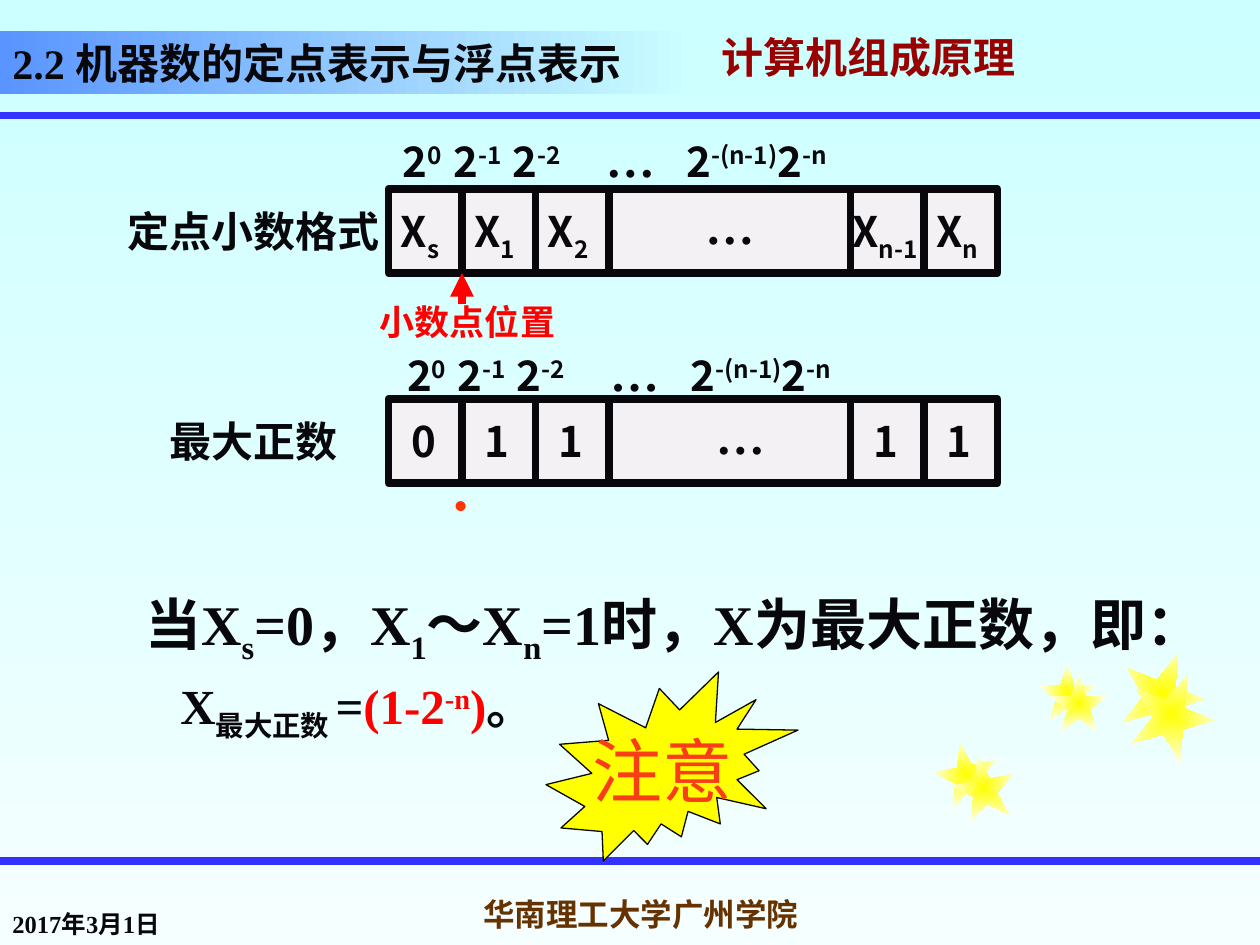
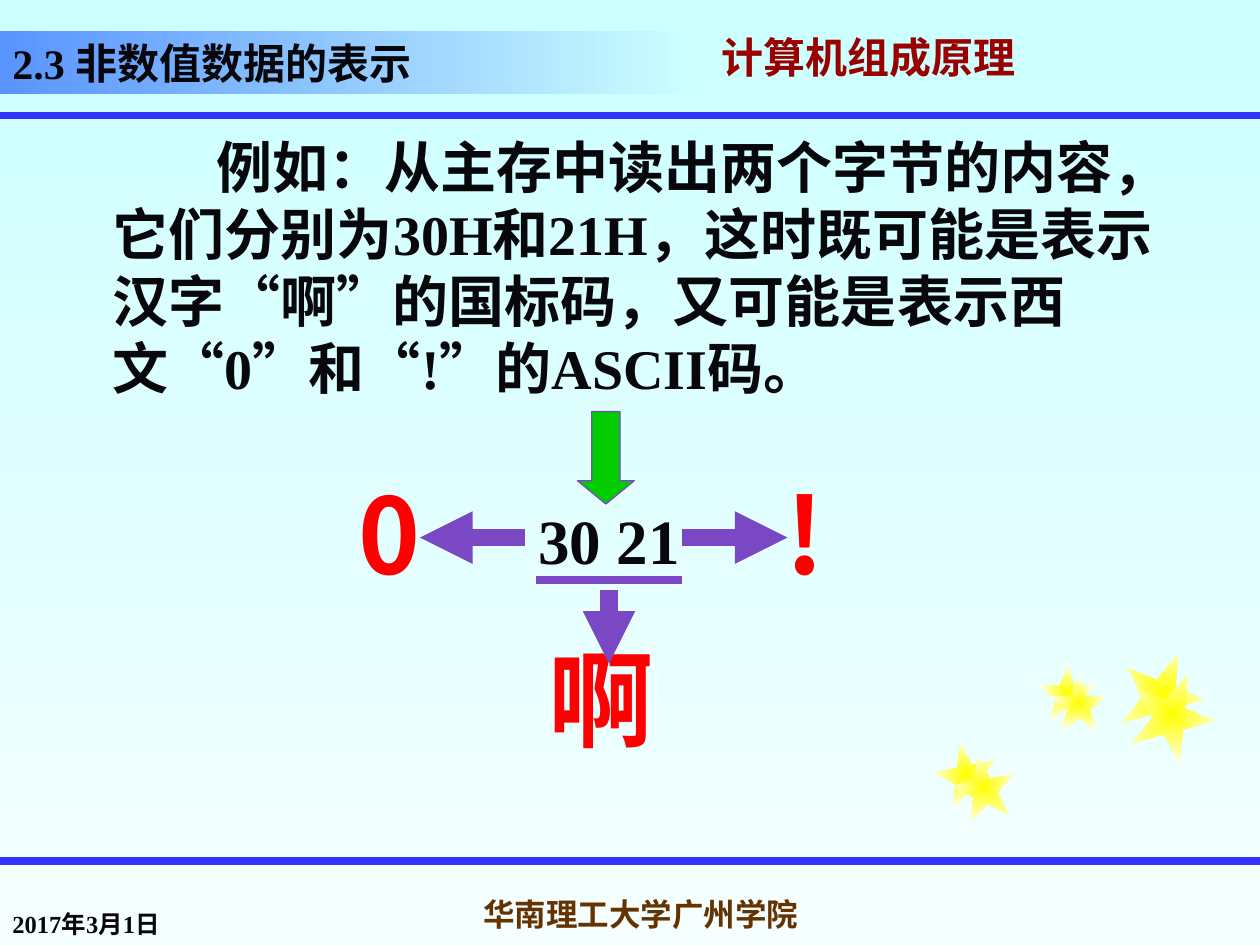
from lxml import etree
from pptx import Presentation
from pptx.dml.color import RGBColor
from pptx.enum.shapes import MSO_CONNECTOR, MSO_SHAPE
from pptx.enum.text import MSO_ANCHOR, PP_ALIGN
from pptx.oxml.ns import qn
from pptx.util import Inches, Pt

RECT, STAR = MSO_SHAPE.RECTANGLE, MSO_SHAPE.STAR_5_POINT_STAR if hasattr(MSO_SHAPE, "STAR_5_POINT_STAR") else MSO_SHAPE.STAR_5_POINT
BURST, DOWN_ARROW = MSO_SHAPE.EXPLOSION2, MSO_SHAPE.DOWN_ARROW
STRAIGHT = MSO_CONNECTOR.STRAIGHT
TOP, MIDDLE, BOTTOM = MSO_ANCHOR.TOP, MSO_ANCHOR.MIDDLE, MSO_ANCHOR.BOTTOM
LEFT, CENTER = PP_ALIGN.LEFT, PP_ALIGN.CENTER

SERIF, SANS = "Times New Roman", "Noto Sans CJK SC"
COLORS = {
    "ink": "08080C", "rule": "3333FF", "course": "990000", "school": "663300",
    "sky": "CCFFFF", "mist": "F5FFFF", "band": "5994FF", "cell": "F4F1F5",
    "red": "FF0000", "dot": "FF3300", "notice": "F93D17", "yellow": "FFFF00",
    "glow": "FFFFF5", "purple": "7A48C4", "green": "00CC00", "shade": "808080",
}
COLORS = {name: RGBColor.from_string(value) for name, value in COLORS.items()}

# The grid has 120 columns and 90 rows on a 10 by 7.5 inch slide
UNIT = Inches(10) / 120


def add_text(page, area, spans, size, color="ink", font=SERIF, bold=True,
             anchor=TOP, align=LEFT, wrap=True, shape=None):
    """Append a paragraph of (text, baseline, color, font) spans to a shape or a new box."""
    if shape is None:
        shape = page.shapes.add_textbox(*[round(v * UNIT) for v in area])
    frame = shape.text_frame
    frame.word_wrap, frame.vertical_anchor = wrap, anchor
    para = frame.add_paragraph() if frame.text else frame.paragraphs[0]
    para.alignment = align
    for text, *style in spans:
        baseline, span_color, span_font = style + [0, color, font][len(style):]
        span = para.add_run()
        span.text = text
        span.font.size, span.font.bold = Pt(size), bold
        span.font.color.rgb = COLORS[span_color]
        span.font.name = span_font
        props = span.font._element
        etree.SubElement(props, qn("a:ea")).set("typeface", SANS)
        if baseline:
            props.set("baseline", str(baseline * 1000))
    return shape, para


def add_line(page, start, end, color, width, arrow=False):
    line = page.shapes.add_connector(STRAIGHT, *[round(v * UNIT) for v in start + end])
    line.line.color.rgb = COLORS[color]
    line.line.width = Pt(width)
    if arrow:
        etree.SubElement(line.line._get_or_add_ln(), qn("a:tailEnd")).set("type", "triangle")
    etree.SubElement(line._element.spPr, qn("a:effectLst"))


deck = Presentation()
deck.slide_width, deck.slide_height = Inches(10), Inches(7.5)

# Shared frame: background, course name, rules, stars, footers and title band
STARS = [(89, 70.7, 6, -11), (98.9, 63.2, 5.5, 0), (106.7, 62, 8, 22),
         (90.7, 72, 6, -11), (100, 64.2, 5.5, 0), (107.6, 64, 8, 22)]
pages = []
for title in ("2.2 机器数的定点表示与浮点表示", "2.3 非数值数据的表示"):
    page = deck.slides.add_slide(deck.slide_layouts[6])
    pages.append(page)
    backdrop = page.background.fill
    backdrop.gradient()
    backdrop.gradient_angle = 270
    for stop, name in zip(backdrop.gradient_stops, ("sky", "mist")):
        stop.color.rgb = COLORS[name]

    course, para = add_text(page, (67.5, 3, 52.5, 6), [("计算机组成原理",)], 24, "course",
                            SANS, anchor=MIDDLE)
    para.line_spacing = 0.7
    effects = etree.Element(qn("a:effectLst"))
    shadow = etree.SubElement(effects, qn("a:outerShdw"), dist="35921", dir="2700000")
    etree.SubElement(shadow, qn("a:srgbClr")).set("val", str(COLORS["shade"]))
    para.runs[0].font._element.find(qn("a:solidFill")).addnext(effects)

    for row in (11, 82):
        add_line(page, (0, row), (120, row), "rule", 4.5)

    for left, top, side, turn in STARS:
        star = page.shapes.add_shape(STAR, *[round(v * UNIT) for v in (left, top, side, side)])
        star.rotation = turn
        star.shadow.inherit = False
        star.line.fill.background()
        star.fill.gradient()
        for stop, name in zip(star.fill.gradient_stops, ("yellow", "glow")):
            stop.color.rgb = COLORS[name]
        gradient = star._element.spPr.find(qn("a:gradFill"))
        gradient.remove(gradient.find(qn("a:lin")))
        radial = etree.SubElement(gradient, qn("a:path"))
        radial.set("path", "shape")
        center = etree.SubElement(radial, qn("a:fillToRect"))
        for side_name in "ltrb":
            center.set(side_name, "50000")

    add_text(page, (0, 84, 25, 6), [("2017年3月1日",)], 14, anchor=BOTTOM)
    add_text(page, (42, 84, 38, 6), [("华南理工大学广州学院",)], 18, "school",
             anchor=MIDDLE, align=CENTER, wrap=False)

    band = page.shapes.add_shape(RECT, 0, round(3 * UNIT), round(66 * UNIT), round(6 * UNIT))
    band.shadow.inherit = False
    band.line.fill.background()
    band.fill.gradient()
    band.fill.gradient_angle = 0
    for stop, name in zip(band.fill.gradient_stops, ("band", "sky")):
        stop.color.rgb = COLORS[name]
    add_text(page, None, [(title,)], 24, anchor=BOTTOM, shape=band)

number_page, code_page = pages

# Fixed-point registers: bit cells, their contents and the weights above
EDGES = [37, 44, 51, 58, 81, 88, 95]
WEIGHTS = [("2",), ("0", 30), ("\t2",), ("-1", 30), ("\t2",), ("-2", 30),
           ("\t",), ("…", 0, "ink", SERIF), ("\t2",), ("-(n-1)", 30), ("2",), ("-n", 30)]
WEIGHT_TABS = (0.4, 0.87, 1.61, 2.25)
REGISTERS = [
    (18, (37.2, 11.6), [(37, "X", "s"), (44, "X", "1"), (51, "X", "2"), (66, "…", ""),
                        (80, "X", "n-1"), (88, "X", "n")]),
    (38, (37.6, 32), [(38, "0", ""), (45, "1", ""), (52, "1", ""), (67, "…", ""),
                      (82, "1", ""), (89, "1", "")]),
]
for top, weight_corner, bits in REGISTERS:
    register = number_page.shapes.add_shape(
        RECT, *[round(v * UNIT) for v in (EDGES[0], top, EDGES[-1] - EDGES[0], 8)])
    register.shadow.inherit = False
    register.fill.solid()
    register.fill.fore_color.rgb = COLORS["cell"]
    register.line.color.rgb = COLORS["ink"]
    register.line.width = Pt(4.5)
    for edge in EDGES[1:-1]:
        add_line(number_page, (edge, top), (edge, top + 8), "ink", 4.5)
    for left, symbol, index in bits:
        if symbol == "…":
            add_text(number_page, (left, top, 13, 6.8), [(symbol,)], 28)
        else:
            spans = [(symbol,), (index, -25)] if index else [(symbol,)]
            add_text(number_page, (left, top + 1, 14, 6), spans, 24, font=SANS)

    box, para = add_text(number_page, weight_corner + (59, 6.8), WEIGHTS, 24, font=SANS,
                         anchor=MIDDLE)
    for span in para.runs:
        if span.text == "…":
            span.font.size = Pt(28)
    tabs = etree.SubElement(para._p.get_or_add_pPr(), qn("a:tabLst"))
    for position in WEIGHT_TABS:
        etree.SubElement(tabs, qn("a:tab"), pos=str(Inches(position)), algn="l")

# Register labels and the radix point
add_text(number_page, (11, 19, 30, 6), [("定点小数格式",)], 24, font=SANS)
add_text(number_page, (15, 39, 25, 6), [("最大正数",)], 24)
add_text(number_page, (35, 28, 25, 5.2), [("小数点位置",)], 20, "red")
add_line(number_page, (44, 29), (44, 26), "red", 4.5, arrow=True)
add_text(number_page, (42, 45, 9, 6), [("•",)], 24, "dot", bold=False)

# Largest positive number
body, para = add_text(number_page, (10, 56, 103, 20), [
    ("当X",), ("s", -25), ("=0，X",), ("1", -25), ("～X",), ("n", -25),
    ("=1时，X为最大正数，即：",)], 32)
para.line_spacing = Pt(41)
para._p.get_or_add_pPr().set("marL", str(Inches(0.38)))
para._p.get_or_add_pPr().set("indent", str(Inches(-0.16)))
body, para = add_text(number_page, None, [
    ("X",), ("最大正数 ", -25), ("=",), ("(1-2", 0, "red"), ("-n", 30, "red"),
    (")", 0, "red"), ("。",)], 28, shape=body)
para.line_spacing, para.space_before = Pt(38), Pt(5.6)
para._p.get_or_add_pPr().set("marL", str(Inches(0.81)))
para._p.get_or_add_pPr().set("indent", str(Inches(-0.31)))

# Notice burst
burst = number_page.shapes.add_shape(BURST, *[round(v * UNIT) for v in (52, 64, 24, 18)])
# Arrow to the byte pair
arrow = code_page.shapes.add_shape(DOWN_ARROW, *[round(v * UNIT) for v in (55, 39.2, 5.4, 8.8)])
arrow.adjustments[0], arrow.adjustments[1] = 0.5, 0.41
for shape, fill, outline in ((burst, "yellow", "ink"), (arrow, "green", "purple")):
    shape.shadow.inherit = False
    shape.fill.solid()
    shape.fill.fore_color.rgb = COLORS[fill]
    shape.line.color.rgb = COLORS[outline]
    shape.line.width = Pt(0.75)
add_text(number_page, None, [("注意",)], 40, "notice", bold=False,
         anchor=MIDDLE, align=CENTER, wrap=False, shape=burst)

# Example paragraph
body, para = add_text(code_page, (5, 12, 109, 28), [(
    "例如：从主存中读出两个字节的内容，它们分别为30H和21H，这时既可能是表示汉字“啊”的国标码，"
    "又可能是表示西文“0”和“!”的ASCII码。",)], 32)
para.line_spacing = Pt(38.3)
para._p.get_or_add_pPr().set("marL", str(Inches(0.38)))
para._p.get_or_add_pPr().set("indent", str(Inches(0.82)))

# Byte pair and its three readings
for area, text, size, color, font in [
        ((51, 59.8, 12.5, 13.2), "啊", 60, "red", SANS),
        ((50, 47.2, 16, 8.4), "30 21", 36, "ink", SERIF),
        ((33, 44.1, 7.4, 13.2), "0", 60, "red", SANS),
        ((73, 44.1, 7.4, 13.2), "!", 60, "red", SANS)]:
    add_text(code_page, area, [(text,)], size, color, font,
             anchor=MIDDLE, align=CENTER, wrap=False)
for start, end in ((51, 65), (51, 57), (58, 64)):
    add_line(code_page, (start, 55.2), (end, 55.2), "purple", 4.5)
for start, end in (((58, 56.2), (58, 63.2)), ((50, 51.2), (40, 51.2)), ((65, 51.2), (75, 51.2))):
    add_line(code_page, start, end, "purple", 10, arrow=True)

deck.save("out.pptx")
